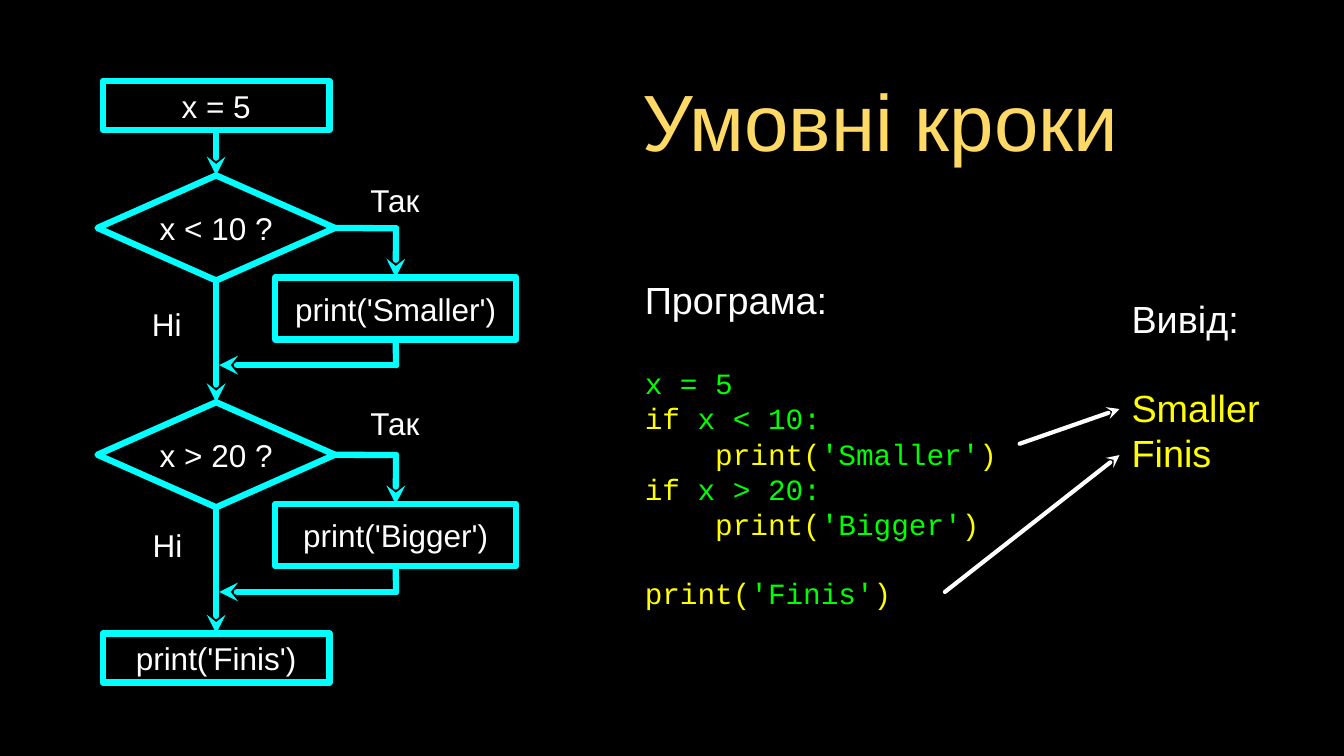
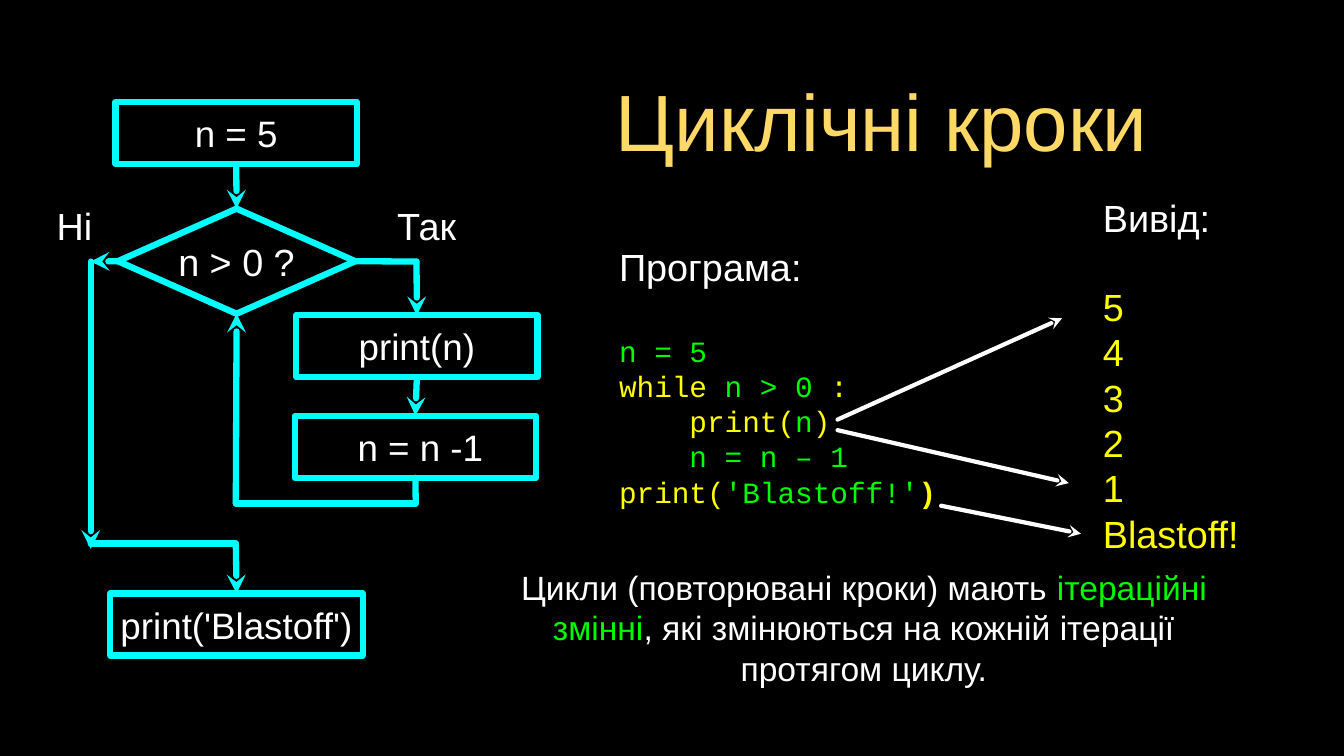
from dataclasses import dataclass
from typing import NamedTuple, Union

from lxml import etree
from pptx import Presentation
from pptx import util as u
from pptx.dml.color import RGBColor
from pptx.enum import shapes, text
from pptx.oxml.ns import qn

BLACK = RGBColor(0x00, 0x00, 0x00)
WHITE = RGBColor(0xFF, 0xFF, 0xFF)
GOLD = RGBColor(0xFF, 0xD9, 0x66)
CYAN = RGBColor(0x00, 0xFF, 0xFF)
YELLOW = RGBColor(0xFF, 0xFF, 0x00)
GREEN = RGBColor(0x00, 0xFF, 0x00)
TERM_GREEN = RGBColor(0x00, 0xFA, 0x00)
SANS, MONO = "Arial", "Courier New"
HEADING_SIZE, CODE_SIZE = 36, 28
HEADING_GAP, CODE_GAP = 41.4, 32  # one empty line, in points
FLOW_WIDTH, POINTER_WIDTH = 6, 4
RECT, DIAMOND = shapes.MSO_SHAPE.RECTANGLE, shapes.MSO_SHAPE.DIAMOND
TOP, LEFT, BOTTOM, RIGHT = range(4)


class Box(NamedTuple):
    left: float
    top: float
    width: float
    height: float


class Run(NamedTuple):
    text: str
    color: RGBColor
    bold: bool = False


@dataclass
class Line:
    runs: list[Run]
    size: float
    font: str = SANS
    gap: float = 0
    align: text.PP_ALIGN = text.PP_ALIGN.LEFT


class Node(NamedTuple):
    key: str
    label: str
    preset: shapes.MSO_SHAPE
    box: Box
    size: float


class Point(NamedTuple):
    x: float
    y: float


class Port(NamedTuple):
    node: str
    side: int


class Link(NamedTuple):
    begin: Union[Point, Port]
    end: Union[Point, Port]
    arrow: bool = True


class Label(NamedTuple):
    label: str
    box: Box
    size: float


@dataclass
class Page:
    title: str
    title_box: Box
    program: list[Line]
    program_box: Box
    output: list[str]
    output_box: Box
    nodes: list[Node]
    links: list[Link]
    labels: list[Label]
    pointers: list[Link]


def inches(values) -> list:
    return [u.Inches(value) for value in values]


def fill_text(text_frame, lines: list[Line], margin: float = 0) -> None:
    text_frame.word_wrap = True
    text_frame.vertical_anchor = text.MSO_ANCHOR.MIDDLE
    text_frame.margin_left = text_frame.margin_right = u.Inches(margin)
    text_frame.margin_top = text_frame.margin_bottom = u.Inches(margin)
    for index, line in enumerate(lines):
        paragraph = text_frame.add_paragraph() if index else text_frame.paragraphs[0]
        paragraph.alignment = line.align
        if line.gap:
            paragraph.space_before = u.Pt(line.gap)
        for part in line.runs:
            run = paragraph.add_run()
            run.text = part.text
            run.font.name, run.font.size = line.font, u.Pt(line.size)
            run.font.color.rgb, run.font.bold = part.color, part.bold


def centered(words: str, size: float, color: RGBColor = WHITE) -> Line:
    return Line([Run(words, color)], size, align=text.PP_ALIGN.CENTER)


def add_text(slide, box: Box, lines: list[Line], margin: float = 0) -> None:
    fill_text(slide.shapes.add_textbox(*inches(box)).text_frame, lines, margin)


def style_line(line, color: RGBColor, width: float, arrow: bool = False) -> None:
    line.color.rgb, line.width = color, u.Pt(width)
    element = line._get_or_add_ln()
    element.set("cap", "rnd")
    etree.SubElement(element, qn("a:round"))
    if arrow:
        etree.SubElement(element, qn("a:tailEnd"), type="stealth")


def add_node(slide, node: Node):
    shape = slide.shapes.add_shape(node.preset, *inches(node.box))
    shape.shadow.inherit = False
    shape.fill.background()
    style_line(shape.line, CYAN, FLOW_WIDTH)
    fill_text(shape.text_frame, [centered(node.label, node.size)])
    return shape


def add_link(slide, link: Link, nodes: dict, color: RGBColor, width: float) -> None:
    connector = slide.shapes.add_connector(shapes.MSO_CONNECTOR.STRAIGHT, 0, 0, 0, 0)
    if isinstance(link.begin, Point):
        connector.begin_x, connector.begin_y = inches(link.begin)
    else:
        connector.begin_connect(nodes[link.begin.node], link.begin.side)
    if isinstance(link.end, Point):
        connector.end_x, connector.end_y = inches(link.end)
    else:
        connector.end_connect(nodes[link.end.node], link.end.side)
    style_line(connector.line, color, width, link.arrow)
    etree.SubElement(connector._element.spPr, qn("a:effectLst"))


def code(*runs: Run, gap: float = 0) -> Line:
    return Line(list(runs), CODE_SIZE, MONO, gap)


def heading(words: str) -> Line:
    return Line([Run(words, WHITE)], HEADING_SIZE)


def print_call(argument: str, indent: str = "", gap: float = 0, bold: bool = False) -> Line:
    return code(Run(f"{indent}print(", YELLOW), Run(argument, GREEN),
                Run(")", YELLOW, bold), gap=gap)


def add_page(presentation, page: Page):
    slide = presentation.slides.add_slide(presentation.slide_layouts[6])
    slide.background.fill.solid()
    slide.background.fill.fore_color.rgb = BLACK
    add_text(slide, page.title_box, [centered(page.title, 76, GOLD)], 0.04)
    output = [Line([Run(words, YELLOW)], HEADING_SIZE, gap=0 if index else HEADING_GAP)
              for index, words in enumerate(page.output)]
    add_text(slide, page.output_box, [heading("Вивід:")] + output)
    add_text(slide, page.program_box, [heading("Програма:")] + page.program)
    nodes = {node.key: add_node(slide, node) for node in page.nodes}
    for link in page.links:
        add_link(slide, link, nodes, CYAN, FLOW_WIDTH)
    for pointer in page.pointers:
        add_link(slide, pointer, nodes, WHITE, POINTER_WIDTH)
    for label in page.labels:
        add_text(slide, label.box, [centered(label.label, label.size)])
    return slide


def conditional_page() -> Page:
    size, indent = 30, "    "
    nodes = [Node("start", "x = 5", RECT, Box(1.36, 1.07, 3, 0.65), size),
             Node("finish", "print('Finis')", RECT, Box(1.36, 8.38, 3, 0.65), size)]
    links = [Link(Port("start", BOTTOM), Port("test 1", TOP)),
             Link(Port("test 1", BOTTOM), Port("test 2", TOP)),
             Link(Port("test 2", BOTTOM), Port("finish", TOP))]
    # Each test has a side branch that returns to the main column
    branches = [("x < 10 ?", "print('Smaller')"), ("x > 20 ?", "print('Bigger')")]
    for index, (question, action) in enumerate(branches):
        top = 2.32 + 3 * index
        test, step = f"test {index + 1}", f"step {index + 1}"
        nodes += [Node(test, question, DIAMOND, Box(1.29, top, 3.14, 1.39), size),
                  Node(step, action, RECT, Box(3.64, top + 1.35, 3.19, 0.82), size)]
        corner, turn = Point(5.24, top + 0.7), Point(5.24, top + 2.51)
        links += [Link(Port(test, RIGHT), corner, False),
                  Link(corner, Port(step, TOP)),
                  Link(Port(step, BOTTOM), turn, False),
                  Link(turn, Point(2.9, turn.y))]
    return Page(
        title="Умовні кроки", title_box=Box(6.4, 0.84, 10.49, 1.49),
        program=[
            code(Run("x = 5", GREEN), gap=HEADING_GAP),
            code(Run("if ", YELLOW), Run("x < 10:", GREEN)),
            print_call("'Smaller'", indent),
            code(Run("if ", YELLOW), Run("x > 20:", GREEN)),
            print_call("'Bigger'", indent),
            print_call("'Finis'", gap=CODE_GAP)],
        program_box=Box(8.53, 3.14, 4.96, 5.45),
        output=["Smaller", "Finis"], output_box=Box(14.97, 3.9, 1.73, 2.39),
        nodes=nodes, links=links,
        labels=[Label(words, Box(left, top, 0.79, 0.68), size)
                for words, left, top in [("Так", 4.83, 2.31), ("Ні", 1.81, 3.95),
                                         ("Ні", 1.82, 6.87), ("Так", 4.83, 5.25)]],
        pointers=[Link(Point(13.49, 5.87), Point(14.81, 5.41)),
                  Link(Point(12.5, 7.83), Point(14.81, 6.02))])


def loop_page() -> Page:
    size, indent = 35, "    "
    yes_corner, no_corner = Point(5.51, 3.46), Point(1.2, 3.46)
    loop_right, loop_left = Point(5.5, 6.66), Point(3.12, 6.66)
    exit_left, exit_right = Point(1.2, 7.19), Point(3.12, 7.19)
    return Page(
        title="Циклічні кроки", title_box=Box(6.44, 0.84, 10.45, 1.49),
        program=[
            code(Run("n = 5", GREEN), gap=HEADING_GAP),
            code(Run("while", YELLOW), Run(" n > 0", GREEN), Run(" :", YELLOW)),
            print_call("n", indent),
            code(Run(indent + "n = n – 1", GREEN)),
            print_call("'Blastoff!'", bold=True)],
        program_box=Box(8.19, 2.86, 4.26, 4.24),
        output=["5", "4", "3", "2", "1", "Blastoff!"],
        output_box=Box(14.59, 2.63, 2.18, 4.67),
        nodes=[
            Node("start", "n = 5", RECT, Box(1.53, 1.35, 3.19, 0.82), size),
            Node("test", "n > 0 ?", DIAMOND, Box(1.56, 2.76, 3.14, 1.39), 36),
            Node("show", "print(n)", RECT, Box(3.92, 4.17, 3.19, 0.82), size),
            Node("count", " n = n -1", RECT, Box(3.9, 5.5, 3.19, 0.82), size),
            Node("finish", "print('Blastoff')", RECT, Box(1.46, 7.85, 3.34, 0.82), size)],
        links=[
            Link(Port("start", BOTTOM), Port("test", TOP)),
            # Loop body and the way back to the test
            Link(Port("test", RIGHT), yes_corner, False),
            Link(yes_corner, Port("show", TOP)),
            Link(Port("show", BOTTOM), Port("count", TOP)),
            Link(Port("count", BOTTOM), loop_right, False),
            Link(loop_right, loop_left, False),
            Link(loop_left, Port("test", BOTTOM)),
            # Exit from the loop
            Link(Port("test", LEFT), no_corner),
            Link(no_corner, Point(1.2, 7.26)),
            Link(exit_left, exit_right, False),
            Link(exit_right, Port("finish", TOP))],
        labels=[Label("Ні", Box(0.59, 2.64, 0.79, 0.68), 36),
                Label("Так", Box(5.1, 2.64, 1.09, 0.68), 36)],
        pointers=[Link(Point(11.08, 5.55), Point(14.05, 4.21)),
                  Link(Point(11.08, 5.69), Point(14.14, 6.39)),
                  Link(Point(12.45, 6.69), Point(14.3, 7.06))])


def main() -> None:
    presentation = Presentation()
    presentation.slide_width, presentation.slide_height = inches((17.78, 10))
    add_page(presentation, conditional_page())
    loop_slide = add_page(presentation, loop_page())

    # Summary under the loop program
    summary = [[Run("Цикли (повторювані кроки) мають ", WHITE), Run("ітераційні", TERM_GREEN)],
               [Run("змінні", TERM_GREEN), Run(", які змінюються на кожній ітерації", WHITE)],
               [Run("протягом циклу.", WHITE)]]
    add_text(loop_slide, Box(5.64, 7.65, 11.58, 1.3),
             [Line(runs, 32, align=text.PP_ALIGN.CENTER) for runs in summary])
    presentation.save("out.pptx")


if __name__ == "__main__":
    main()
